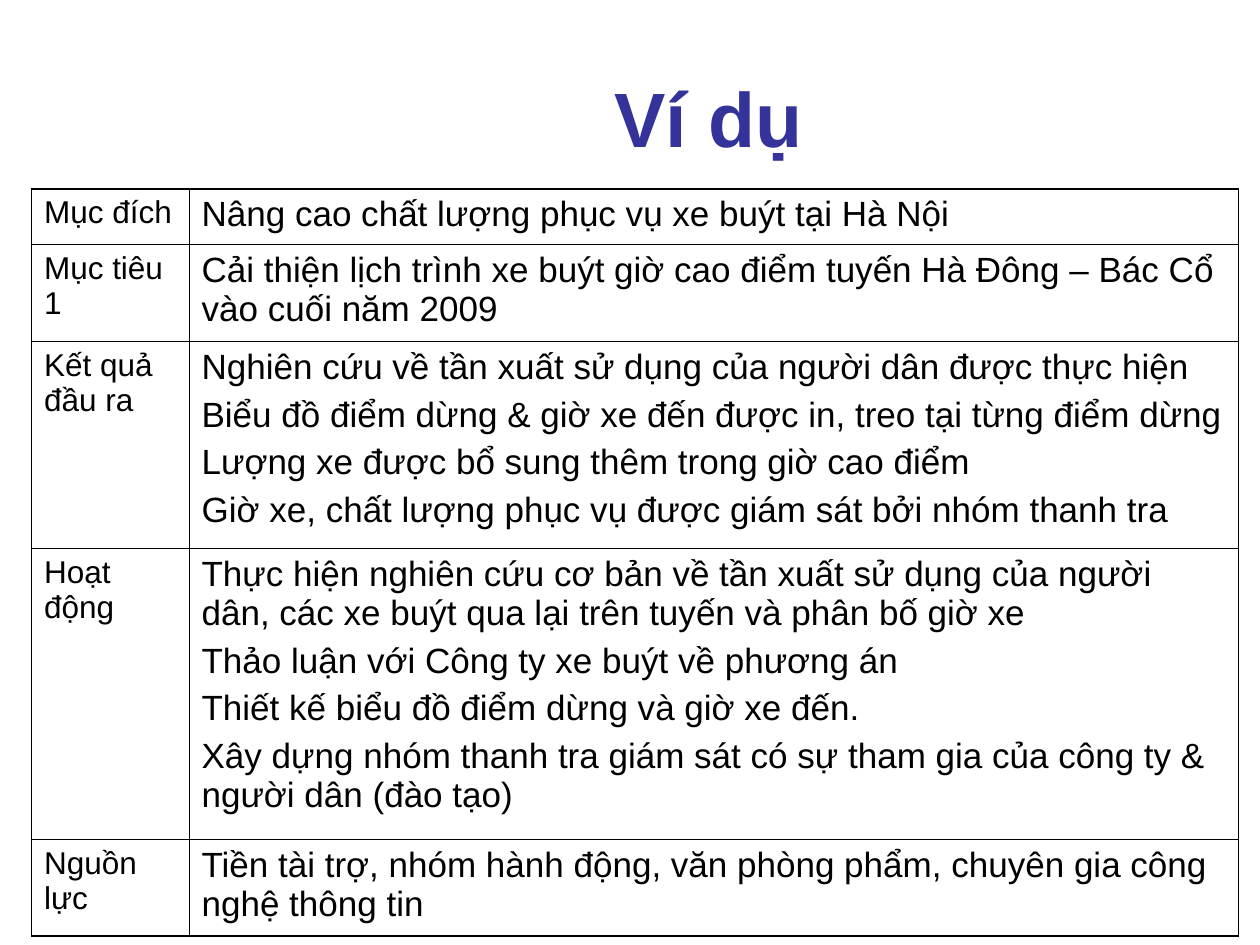
from dataclasses import dataclass

from lxml.etree import SubElement
from pptx import Presentation
from pptx.dml.color import RGBColor
from pptx.enum.text import MSO_ANCHOR, PP_ALIGN
from pptx.oxml.ns import qn
from pptx.slide import Slide
from pptx.table import Table, _Cell
from pptx.text.text import _Paragraph
from pptx.util import Inches, Pt

FONT = "Arial"
BLACK = RGBColor(0, 0, 0)
INDIGO = RGBColor(0x33, 0x33, 0x99)
OUTER_WIDTH = Pt(1.08)
INNER_WIDTH = Pt(0.45)
COLUMN_WIDTHS = (1.25, 8.33)
LABEL_SIZE = 18
DETAIL_SIZE = 20


@dataclass(frozen=True)
class PlanRow:
    """One level of the plan, with its label and details."""

    height: float
    label: tuple[str, ...]
    details: tuple[str, ...]


PLAN_ROWS = (
    PlanRow(0.44, ("Mục đích",), ("Nâng cao chất lượng phục vụ xe buýt tại Hà Nội",)),
    PlanRow(
        0.77,
        ("Mục tiêu 1",),
        ("Cải thiện lịch trình xe buýt giờ cao điểm tuyến Hà Đông – Bác Cổ vào cuối năm 2009",),
    ),
    PlanRow(
        1.64,
        ("Kết quả", "đầu ra"),
        (
            "Nghiên cứu về tần xuất sử dụng của người dân được thực hiện",
            "Biểu đồ điểm dừng & giờ xe đến được in, treo tại từng điểm dừng",
            "Lượng xe được bổ sung thêm trong giờ cao điểm",
            "Giờ xe, chất lượng phục vụ được giám sát bởi nhóm thanh tra",
        ),
    ),
    PlanRow(
        2.31,
        ("Hoạt động",),
        (
            "Thực hiện nghiên cứu cơ bản về tần xuất sử dụng của người dân, "
            "các xe buýt qua lại trên tuyến và phân bố giờ xe",
            "Thảo luận với Công ty xe buýt về phương án",
            "Thiết kế biểu đồ điểm dừng và giờ xe đến.",
            "Xây dựng nhóm thanh tra giám sát có sự tham gia của công ty & người dân (đào tạo)",
        ),
    ),
    PlanRow(
        0.77,
        ("Nguồn lực",),
        ("Tiền tài trợ, nhóm hành động, văn phòng phẩm, chuyên gia công nghệ thông tin",),
    ),
)


def add_run(paragraph: _Paragraph, text: str, size: float, color: RGBColor, bold: bool = False) -> None:
    """Add one formatted run to a paragraph."""
    run = paragraph.add_run()
    run.text = text
    run.font.name = FONT
    run.font.size = Pt(size)
    run.font.bold = bold
    run.font.color.rgb = color


def add_title(slide: Slide, text: str) -> None:
    """Add the centred slide title."""
    title = slide.shapes.add_textbox(Inches(1.75), Inches(0.3), Inches(7.75), Inches(1.25))
    frame = title.text_frame
    frame.word_wrap = True
    frame.vertical_anchor = MSO_ANCHOR.MIDDLE
    paragraph = frame.paragraphs[0]
    paragraph.alignment = PP_ALIGN.CENTER
    add_run(paragraph, text, 44, INDIGO, bold=True)


def set_borders(cell: _Cell, outer_sides: dict[str, bool]) -> None:
    """Draw the four cell borders, heavier on the table's outer edge."""
    properties = cell._tc.get_or_add_tcPr()
    for side, is_outer in outer_sides.items():
        width = OUTER_WIDTH if is_outer else INNER_WIDTH
        line = SubElement(properties, qn(f"a:ln{side}"), w=str(int(width)))
        fill = SubElement(line, qn("a:solidFill"))
        SubElement(fill, qn("a:srgbClr"), val=str(BLACK))


def fill_cell(cell: _Cell, lines: tuple[str, ...], size: float, spacing: float) -> None:
    """Write one paragraph per line into a cell."""
    frame = cell.text_frame
    for index, text in enumerate(lines):
        paragraph = frame.add_paragraph() if index else frame.paragraphs[0]
        paragraph.space_before = Pt(spacing if index else 0)
        add_run(paragraph, text, size, BLACK)


def add_plan_table(slide: Slide, rows: tuple[PlanRow, ...]) -> Table:
    """Add the plan table with its labels, details and borders."""
    table = slide.shapes.add_table(
        len(rows),
        len(COLUMN_WIDTHS),
        Inches(0.25),
        Inches(1.5),
        Inches(sum(COLUMN_WIDTHS)),
        Inches(sum(row.height for row in rows)),
    ).table
    table.first_row = False
    table.horz_banding = False
    for column, width in zip(table.columns, COLUMN_WIDTHS):
        column.width = Inches(width)
    for row_index, row in enumerate(rows):
        table.rows[row_index].height = Inches(row.height)
        label_cell, detail_cell = table.cell(row_index, 0), table.cell(row_index, 1)
        fill_cell(label_cell, row.label, LABEL_SIZE, 0)
        fill_cell(detail_cell, row.details, DETAIL_SIZE, 5)
        for cell in (label_cell, detail_cell):
            outer_sides = {
                "L": cell is label_cell,
                "R": cell is detail_cell,
                "T": row_index == 0,
                "B": row_index == len(rows) - 1,
            }
            set_borders(cell, outer_sides)
            cell.fill.background()
    return table


def main() -> None:
    """Build and save the presentation."""
    presentation = Presentation()
    presentation.slide_width = Inches(10)
    presentation.slide_height = Inches(7.5)
    slide = presentation.slides.add_slide(presentation.slide_layouts[6])
    add_title(slide, "Ví dụ")
    add_plan_table(slide, PLAN_ROWS)
    presentation.save("out.pptx")


if __name__ == "__main__":
    main()
